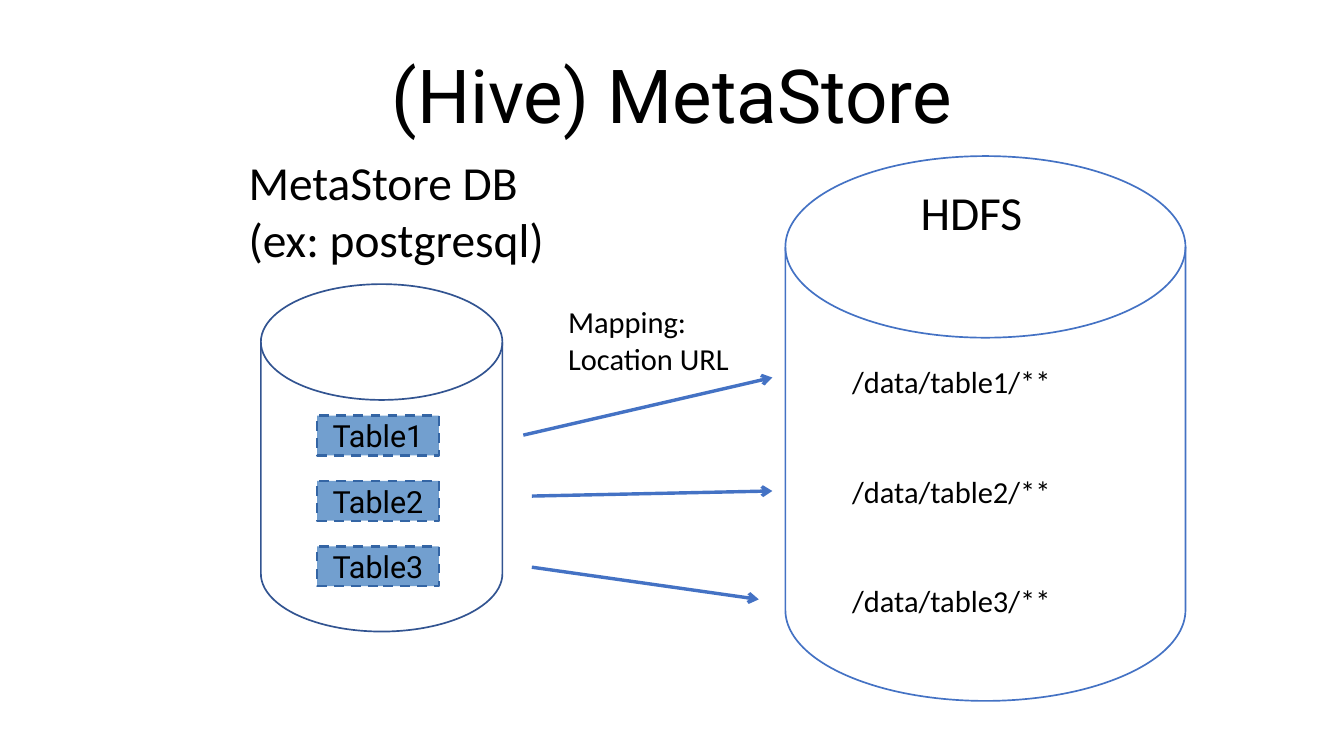
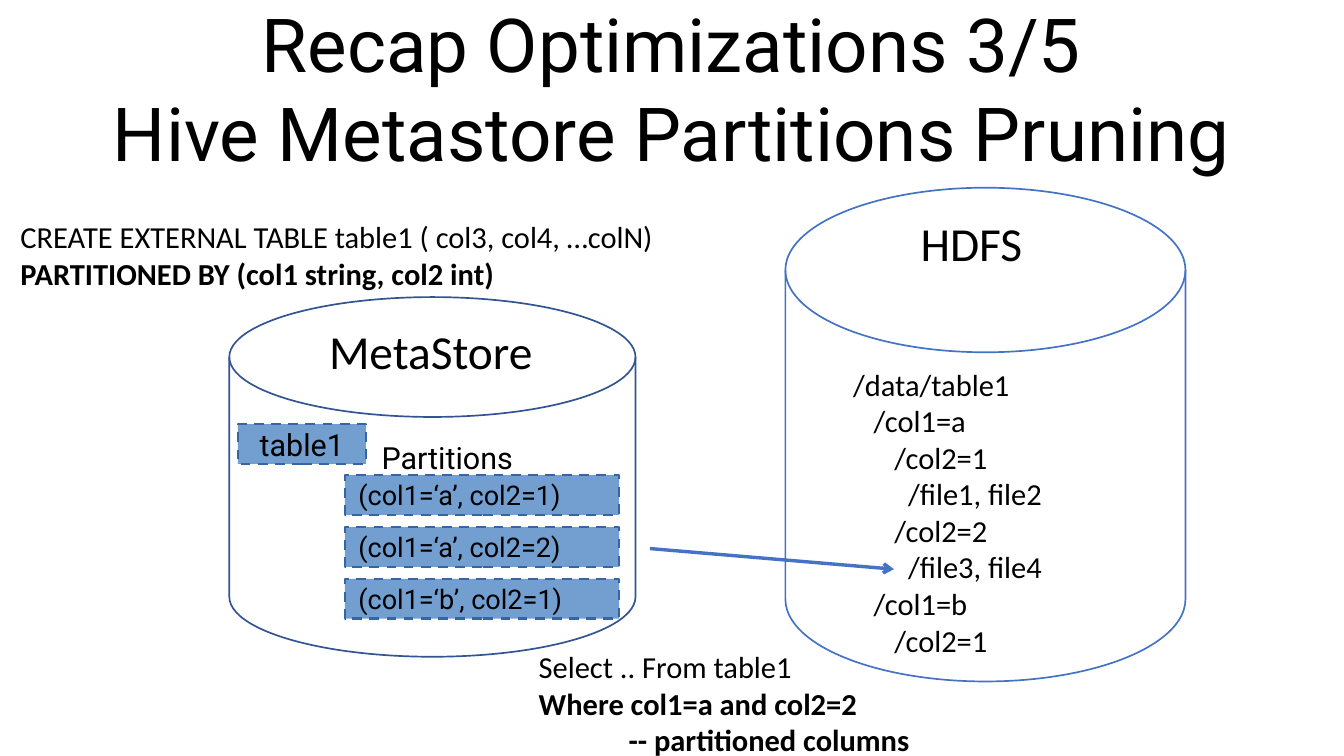
from pptx import Presentation
from pptx.dml.color import RGBColor
from pptx.enum import dml, shapes, text
from pptx.oxml.ns import qn
from pptx.util import Pt
from lxml import etree

BLACK = RGBColor(0x00, 0x00, 0x00)
WHITE = RGBColor(0xFF, 0xFF, 0xFF)
BLUE = RGBColor(0x44, 0x72, 0xC4)
NAVY = RGBColor(0x32, 0x54, 0x91)
TAG_FILL = RGBColor(0x72, 0x9F, 0xCF)
TAG_LINE = RGBColor(0x34, 0x65, 0xA4)
HEADING_FONT, BODY_FONT = "Roboto", "Calibri"
SLIDE_WIDTH, SLIDE_HEIGHT = 793.5, 446.5
HDFS_LEFT, HDFS_WIDTH = 463.7, 236.2
TAG_HEIGHT = 23.5
INDENT = 12.2

TABLES = ["Table1", "Table2", "Table3"]
TABLE_PATHS = ["/data/table1/**", "/data/table2/**", "/data/table3/**"]
MAPPINGS = [((309, 257), (456, 223)),
            ((314, 293), (456, 290)),
            ((314, 335), (448, 354))]

PARTITIONS = ["(col1=‘a’, col2=1)", "(col1=‘a’, col2=2)", "(col1=‘b’, col2=1)"]
PARTITION_TREE = [
    ("/data/table1", 0),
    ("/col1=a", INDENT),
    ("/col2=1", 2 * INDENT),
    ("/file1, file2", 32.5),
    ("/col2=2", 2 * INDENT),
    ("/file3, file4", 32.5),
    ("/col1=b", INDENT),
    ("/col2=1", 2 * INDENT),
]
CREATE_STATEMENT = ["CREATE EXTERNAL TABLE table1 ( col3, col4, …colN)",
                    "PARTITIONED BY (col1 string, col2 int)"]
QUERY = [("Select .. From table1", 0),
         ("Where col1=a and col2=2", 0),
         ("-- partitioned columns", 53)]


def points(*lengths):
    return [Pt(length) for length in lengths]


def write(frame, lines, size, font, align=text.PP_ALIGN.LEFT, gap=0, bold_from=None):
    """Fill a frame with lines, each a string or a (string, indent) pair."""
    frame.word_wrap = True
    frame.auto_size = text.MSO_AUTO_SIZE.NONE
    for number, line in enumerate(lines):
        words, indent = (line, 0) if isinstance(line, str) else line
        paragraph = frame.paragraphs[0] if number == 0 else frame.add_paragraph()
        paragraph.text = words
        paragraph.alignment = align
        if indent:
            paragraph._p.get_or_add_pPr().set("marL", str(Pt(indent)))
        if gap and number:
            paragraph.space_before = Pt(gap)
        style = paragraph.runs[0].font
        style.size, style.name = Pt(size), font
        style.color.rgb = BLACK
        style.bold = bold_from is not None and number >= bold_from


def set_insets(frame, side, end):
    frame.margin_left = frame.margin_right = Pt(side)
    frame.margin_top = frame.margin_bottom = Pt(end)


def add_titled_slide(deck, lines, top, height):
    slide = deck.slides.add_slide(deck.slide_layouts[5])
    title = slide.shapes.title
    title.left, title.top, title.width, title.height = points(0, top, SLIDE_WIDTH, height)
    frame = title.text_frame
    set_insets(frame, 0, 0)
    frame.vertical_anchor = text.MSO_ANCHOR.MIDDLE
    write(frame, lines, 44, HEADING_FONT, text.PP_ALIGN.CENTER)
    return slide


def add_text(slide, box, lines, size=18, font=BODY_FONT, **style):
    write(slide.shapes.add_textbox(*points(*box)).text_frame, lines, size, font, **style)


def add_disk(slide, box, line, fill=None):
    disk = slide.shapes.add_shape(shapes.MSO_SHAPE.FLOWCHART_MAGNETIC_DISK, *points(*box))
    disk.shadow.inherit = False
    if fill is None:
        disk.fill.background()
    else:
        disk.fill.solid()
        disk.fill.fore_color.rgb = fill
    disk.line.color.rgb = line
    disk.line.width = Pt(1)


def add_hdfs(slide, top, height):
    add_disk(slide, (HDFS_LEFT, top, HDFS_WIDTH, height), BLUE, WHITE)
    add_text(slide, (536.4, top + 12.3, 90, 41), ["HDFS"], 28)


def add_tag(slide, left, top, width, label, size=18, align=text.PP_ALIGN.CENTER):
    tag = slide.shapes.add_shape(shapes.MSO_SHAPE.RECTANGLE,
                                 *points(left, top, width, TAG_HEIGHT))
    tag.shadow.inherit = False
    tag.fill.solid()
    tag.fill.fore_color.rgb = TAG_FILL
    tag.line.color.rgb = TAG_LINE
    tag.line.width = Pt(1.45)
    tag.line.dash_style = dml.MSO_LINE.DASH
    set_insets(tag.text_frame, 8, 4.3)
    tag.text_frame.vertical_anchor = text.MSO_ANCHOR.MIDDLE
    write(tag.text_frame, [label], size, HEADING_FONT, align)


def add_arrow(slide, start, end):
    arrow = slide.shapes.add_connector(shapes.MSO_CONNECTOR.STRAIGHT, *points(*start, *end))
    arrow.line.color.rgb = BLUE
    arrow.line.width = Pt(2)
    properties = arrow._element.spPr
    etree.SubElement(properties.find(qn("a:ln")), qn("a:tailEnd"), type="arrow")
    etree.SubElement(properties, qn("a:effectLst"))


def build_metastore(deck):
    slide = add_titled_slide(deck, ["(Hive) MetaStore"], 18, 75)
    add_disk(slide, (154, 167.8, 142.6, 205.2), NAVY)
    add_hdfs(slide, 92.2, 321.8)
    add_text(slide, (139.7, 87, 210, 75), ["MetaStore DB", "(ex: postgresql)"], 28)
    add_text(slide, (496, 211, 144, 160), TABLE_PATHS, gap=43)
    for row, table in enumerate(TABLES):
        add_tag(slide, 187.2, 245.5 + 38.6 * row, 72, table)
    for start, end in MAPPINGS:
        add_arrow(slide, start, end)
    add_text(slide, (328.3, 175.7, 125, 51), ["Mapping:", "Location URL"])


def build_pruning(deck):
    slide = add_titled_slide(
        deck, ["Recap Optimizations 3/5", "Hive Metastore Partitions Pruning"], 0.7, 101.5)
    add_disk(slide, (135.4, 175.5, 239.8, 212.4), NAVY)
    add_hdfs(slide, 110.9, 291.6)
    add_text(slide, (187.2, 186.5, 150, 41), ["MetaStore"], 28)
    add_text(slide, (496.6, 212.4, 194.4, 181.4), PARTITION_TREE)
    add_tag(slide, 140.4, 250.5, 75.6, "table1")
    add_text(slide, (218.2, 255.6, 127.4, 28.8), ["Partitions"], font=HEADING_FONT)
    for row, partition in enumerate(PARTITIONS):
        add_tag(slide, 203.6, 280.7 + 30.6 * row, 162, partition, 16, text.PP_ALIGN.LEFT)
    add_arrow(slide, (383.8, 324), (527.8, 336.2))
    add_text(slide, (5, 125.3, 420, 51), CREATE_STATEMENT, bold_from=1)
    add_text(slide, (311, 379.4, 245, 67), QUERY, bold_from=1)


def main():
    deck = Presentation()
    deck.slide_width, deck.slide_height = points(SLIDE_WIDTH, SLIDE_HEIGHT)
    build_metastore(deck)
    build_pruning(deck)
    deck.save("out.pptx")


if __name__ == "__main__":
    main()
